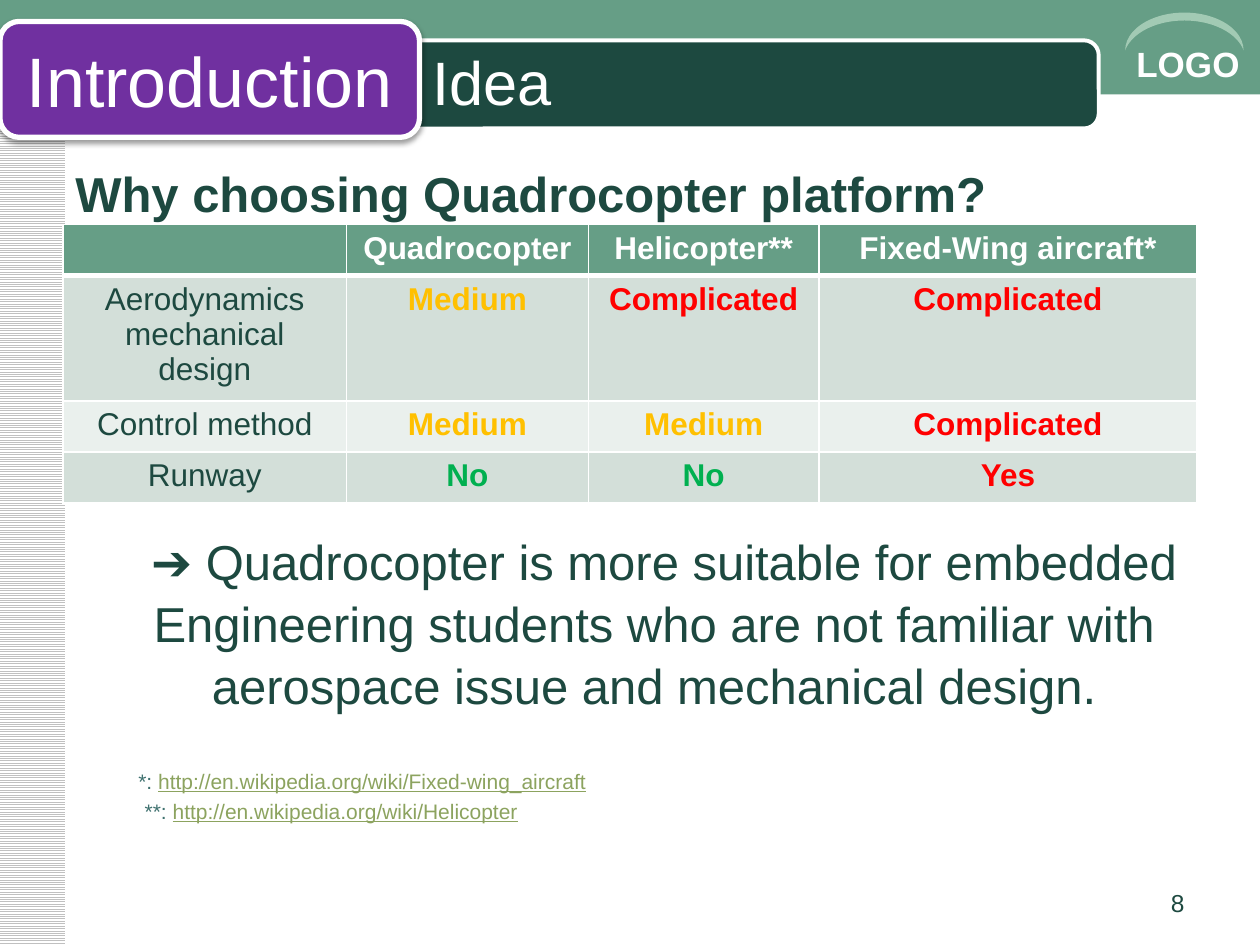
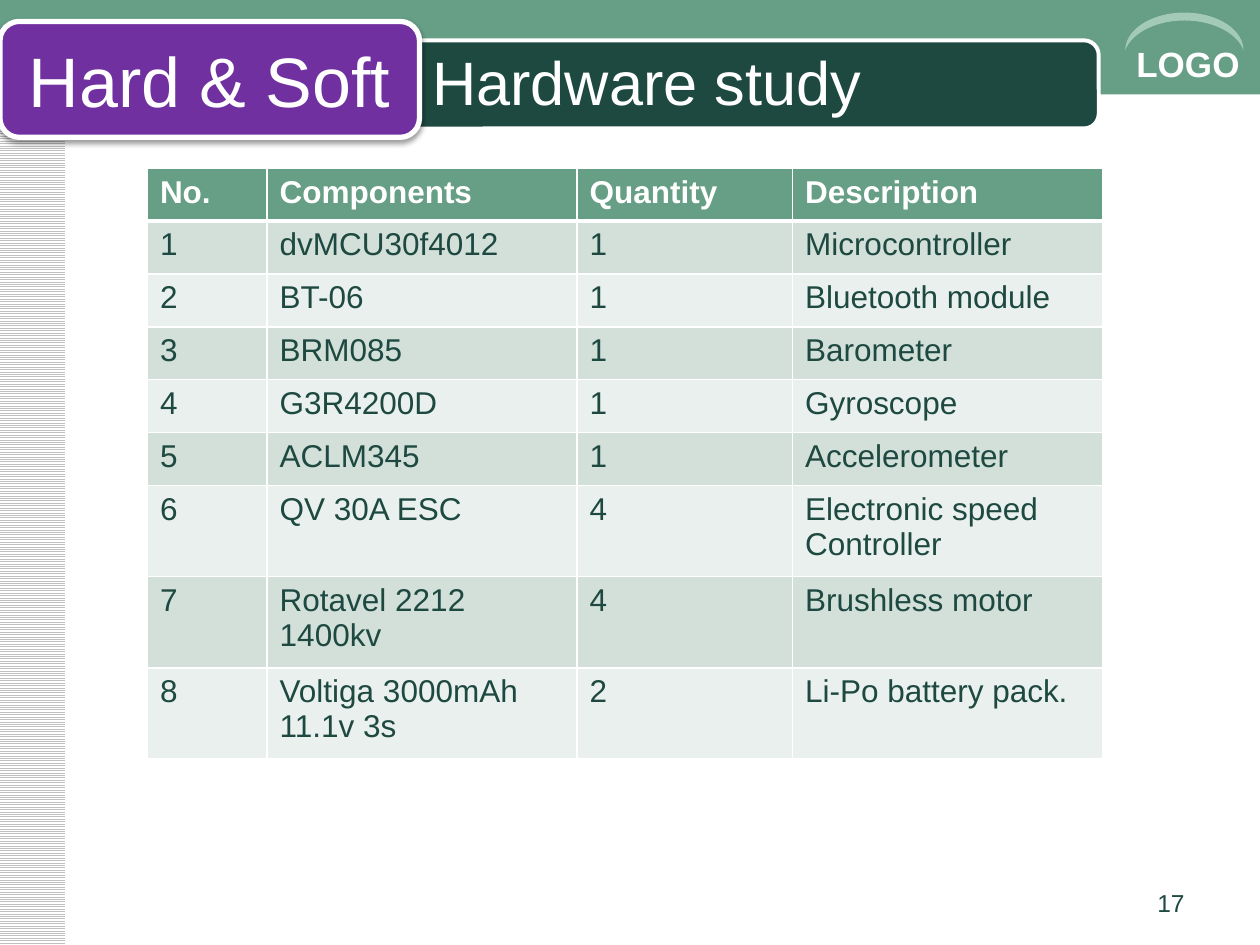
from lxml import etree
from pptx import Presentation
from pptx import util as u
from pptx.dml.color import RGBColor
from pptx.enum import dml, shapes, text
from pptx.oxml import ns

COLORS = {
    "band": "669E86", "bar": "1D4940", "ink": "1D4940", "tab": "7030A0",
    "arc": "A2CAB4", "stripe": "C0C0C0", "white": "FFFFFF",
    "odd_row": "D3DFD9", "even_row": "EAF0ED",
    "good": "00B050", "fair": "FFC000", "poor": "FF0000",
    "note": "3F716F", "link": "8CA35F",
}
RATING_COLORS = {"Medium": "fair", "Complicated": "poor", "No": "good", "Yes": "poor"}
LEFT, CENTER, RIGHT = (text.PP_ALIGN.LEFT, text.PP_ALIGN.CENTER, text.PP_ALIGN.RIGHT)
MIDDLE = text.MSO_ANCHOR.MIDDLE


def rgb(name):
    return RGBColor.from_string(COLORS[name])


def apply(target, formats):
    for attribute, value in formats.items():
        setattr(target, attribute, value)


def add_xml(parent, tag, **attributes):
    return etree.SubElement(parent, ns.qn(tag), attributes)


class Deck:
    """Holds the style and current slide; positions are percent of the slide's size."""

    font = "Arial"

    def __init__(self):
        self.prs = Presentation()
        self.prs.slide_width, self.prs.slide_height = u.Inches(10), u.Inches(7.5)
        self.slide = None

    def x(self, percent):
        return round(self.prs.slide_width * percent / 100)

    def y(self, percent):
        return round(self.prs.slide_height * percent / 100)

    def box(self, at):
        left, top, width, height = at
        return self.x(left), self.y(top), self.x(width), self.y(height)

    def start(self, section, topic, number):
        """Add a slide with the shared bands, section tab, title and number."""
        self.slide = self.prs.slides.add_slide(self.prs.slide_layouts[5])
        rect, rounded = shapes.MSO_SHAPE.RECTANGLE, shapes.MSO_SHAPE.ROUNDED_RECTANGLE
        stripes = self.shape(rect, (-0.1, 0, 5.3, 100), "white")
        stripes.fill.patterned()
        stripes.fill.pattern = dml.MSO_PATTERN.LIGHT_HORIZONTAL
        stripes.fill.fore_color.rgb = rgb("stripe")
        stripes.fill.back_color.rgb = rgb("white")
        self.shape(rect, (0, 0, 100, 10), "band")
        self.shape(rounded, (3.3, 4.27, 83.9, 9.33), "bar", outline=2.25)
        self.label((89.2, 3.87, 10.8, 5.73), "LOGO", 20, "white", bold=True)
        arc = self.shape(shapes.MSO_SHAPE.MOON, (92.5, -2.93, 3, 12.53), "arc")
        arc.adjustments[0] = 0.21
        arc.rotation = 90
        self.label((71.7, 93.33, 23.3, 4.67), number, 14, align=RIGHT)
        self.title(topic)
        tab = self.shape(rounded, (0, 2.27, 33.3, 12.27), "tab", outline=3)
        self.drop_shadow(tab)
        tab.text_frame.vertical_anchor = MIDDLE
        self.add_words(tab.text_frame.paragraphs[0], section, 40, "white", align=CENTER)

    def title(self, topic):
        title = self.slide.shapes.title
        apply(title, dict(zip(("left", "top", "width", "height"),
                              self.box((33.3, 4.4, 56.7, 8.27)))))
        apply(title.text_frame, {"vertical_anchor": MIDDLE, "word_wrap": True,
                                 "auto_size": text.MSO_AUTO_SIZE.NONE})
        self.add_words(title.text_frame.paragraphs[0], topic, 35, "white")
        self.slide.shapes._spTree.append(title._element)  # in front of the bar

    def shape(self, kind, at, fill, outline=0):
        shape = self.slide.shapes.add_shape(kind, *self.box(at))
        shape.shadow.inherit = False
        shape.fill.solid()
        shape.fill.fore_color.rgb = rgb(fill)
        if outline:
            shape.line.color.rgb = rgb("white")
            shape.line.width = u.Pt(outline)
        else:
            shape.line.fill.background()
        return shape

    def drop_shadow(self, shape):
        effects = shape._element.spPr.find(ns.qn("a:effectLst"))
        shadow = add_xml(effects, "a:outerShdw", blurRad=str(u.Pt(3.1)),
                         dist=str(u.Pt(1.6)), dir="5400000", rotWithShape="0")
        color = add_xml(shadow, "a:srgbClr", val="000000")
        add_xml(color, "a:alpha", val="38000")

    def add_words(self, paragraph, words, size, color="ink", bold=False,
                  align=LEFT, underline=False):
        paragraph.alignment = align
        run = paragraph.add_run()
        run.text = words
        apply(run.font, {"name": self.font, "size": u.Pt(size), "bold": bold,
                         "underline": underline})
        run.font.color.rgb = rgb(color)

    def frame(self, at, wrap=True):
        frame = self.slide.shapes.add_textbox(*self.box(at)).text_frame
        frame.word_wrap = wrap
        return frame

    def label(self, at, words, size, color="ink", wrap=True, **style):
        paragraph = self.frame(at, wrap).paragraphs[0]
        self.add_words(paragraph, words, size, color, **style)
        return paragraph

    def footnotes(self, at, notes):
        frame = self.frame(at)
        for index, (mark, address, indent) in enumerate(notes):
            paragraph = frame.add_paragraph() if index else frame.paragraphs[0]
            if index:
                paragraph.space_before = u.Pt(2.8)
            paragraph._p.get_or_add_pPr().set("indent", str(self.x(indent)))
            self.add_words(paragraph, mark + " ", 12, "note")
            self.add_words(paragraph, address, 12, "link", underline=True)

    def table(self, at, columns, heights, rows, align=LEFT, accents=None):
        """Fill a banded table; cells whose words are in accents are bold and coloured."""
        accents = accents or {}
        area = (*at, sum(columns), sum(heights))
        table = self.slide.shapes.add_table(len(rows), len(columns), *self.box(area)).table
        for column, width in zip(table.columns, columns):
            column.width = self.x(width)
        for r, (height, row) in enumerate(zip(heights, rows)):
            table.rows[r].height = self.y(height)
            fill = "band" if r == 0 else "odd_row" if r % 2 else "even_row"
            for c, words in enumerate(row):
                cell = table.cell(r, c)
                self.borders(cell, top=3 if r == 1 else 1, bottom=1 if r else 3)
                cell.fill.solid()
                cell.fill.fore_color.rgb = rgb(fill)
                color = accents.get(words, "ink") if r else "white"
                if words:
                    self.add_words(cell.text_frame.paragraphs[0], words, 18, color,
                                   bold=color != "ink", align=align)

    def borders(self, cell, top, bottom):
        properties = cell._tc.get_or_add_tcPr()
        for side, width in zip("LRTB", (1, 1, top, bottom)):
            line = add_xml(properties, f"a:ln{side}", w=str(u.Pt(width)))
            add_xml(add_xml(line, "a:solidFill"), "a:srgbClr", val=COLORS["white"])


def platform_slide(deck):
    deck.start("Introduction", "Idea", "8")
    deck.table((5, 23.73), (22.5, 19.2, 18.3, 30), (5.4, 13.3, 5.4, 5.4), [
        ("", "Quadrocopter", "Helicopter**", "Fixed-Wing aircraft*"),
        ("Aerodynamics mechanical design", "Medium", "Complicated", "Complicated"),
        ("Control method", "Medium", "Medium", "Complicated"),
        ("Runway", "No", "No", "Yes"),
    ], align=CENTER, accents=RATING_COLORS)
    deck.label((5, 16.67, 75.2, 7.6), "Why choosing Quadrocopter platform?", 28,
               bold=True, wrap=False)
    conclusion = deck.label(
        (8.8, 55.33, 86.2, 20),
        "➔ Quadrocopter is more suitable for embedded Engineering students "
        "who are not familiar with aerospace issue and mechanical design.",
        28, align=CENTER)
    conclusion.line_spacing = 1.05
    conclusion._p.get_or_add_pPr().set("indent", str(deck.x(1.6)))
    deck.footnotes((10, 80.67, 80, 8), [
        ("*:", "http://en.wikipedia.org/wiki/Fixed-wing_aircraft", 0),
        ("**:", "http://en.wikipedia.org/wiki/Helicopter", 0.5),
    ])


def hardware_slide(deck):
    deck.start("Hard & Soft", "Hardware study", "17")
    components = [
        ("dvMCU30f4012", "1", "Microcontroller"),
        ("BT-06", "1", "Bluetooth module"),
        ("BRM085", "1", "Barometer"),
        ("G3R4200D", "1", "Gyroscope"),
        ("ACLM345", "1", "Accelerometer"),
        ("QV 30A ESC", "4", "Electronic speed Controller"),
        ("Rotavel 2212 1400kv", "4", "Brushless motor"),
        ("Voltiga 3000mAh 11.1v 3s", "2", "Li-Po battery pack."),
    ]
    numbered = [(str(n), *part) for n, part in enumerate(components, 1)]
    deck.table((11.7, 17.8), (9.5, 24.6, 17.1, 24.6), [5.6] * 6 + [9.65] * 3,
               [("No.", "Components", "Quantity", "Description"), *numbered])


def main():
    deck = Deck()
    platform_slide(deck)
    hardware_slide(deck)
    deck.prs.save("out.pptx")


if __name__ == "__main__":
    main()
